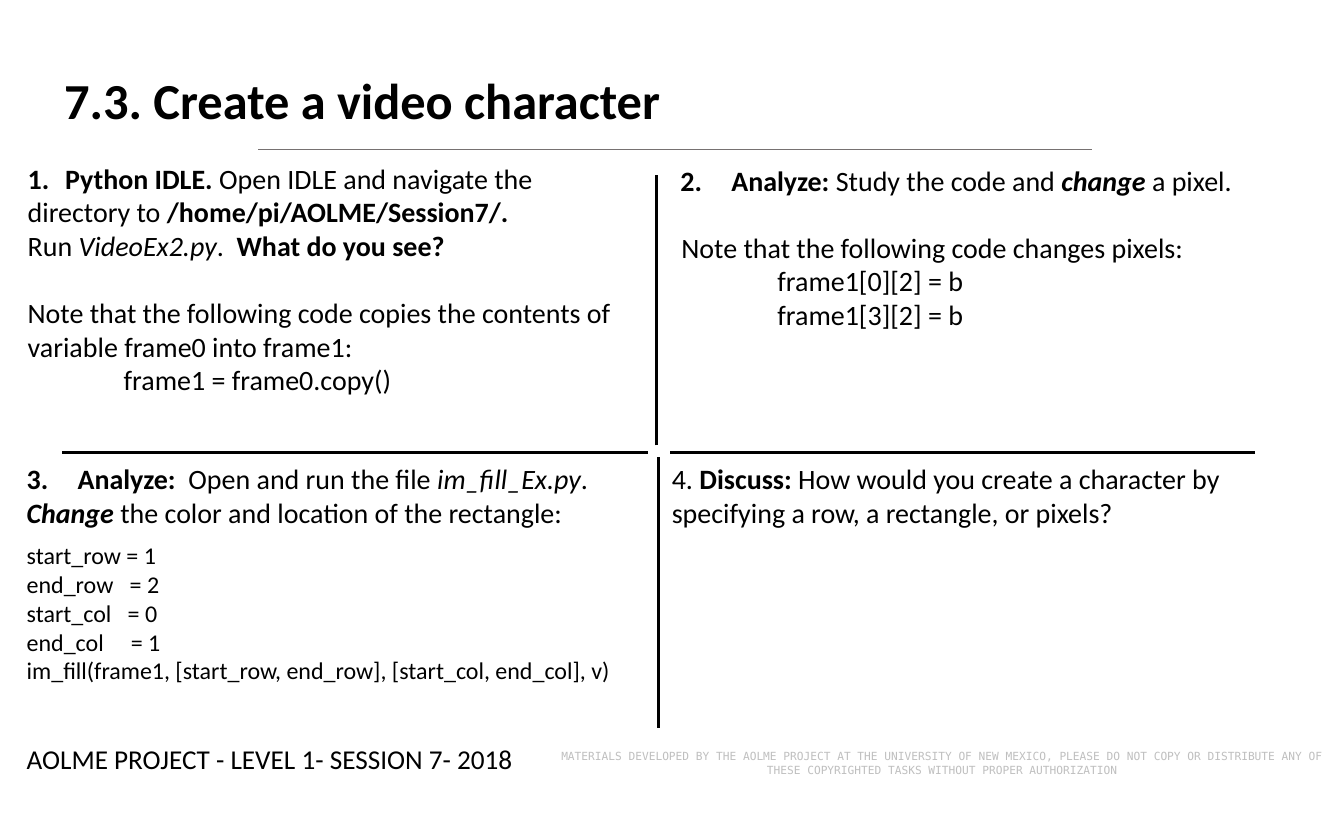
from dataclasses import dataclass

from lxml import etree
from pptx import Presentation
from pptx.dml.color import RGBColor
from pptx.enum.shapes import MSO_CONNECTOR
from pptx.enum.text import MSO_ANCHOR, MSO_AUTO_SIZE, PP_ALIGN
from pptx.oxml.ns import qn
from pptx.util import Inches, Pt

LINE = MSO_CONNECTOR.STRAIGHT
MIDDLE = MSO_ANCHOR.MIDDLE
GROW = MSO_AUTO_SIZE.SHAPE_TO_FIT_TEXT
CENTER = PP_ALIGN.CENTER


@dataclass(frozen=True)
class Theme:
    font: str = "Calibri"
    mono: str = "DejaVu Sans Mono"
    ink: str = "000000"
    rule: str = "767171"
    faint: str = "BFBFBF"
    title: float = 37.8
    body: float = 21
    label: float = 20.4
    code: float = 18
    note: float = 8.4
    gap: float = 25.2
    small_gap: float = 8.9


THEME = Theme()


def add_line(slide, start, end, color=THEME.ink, width=2.25):
    line = slide.shapes.add_connector(LINE, *map(Inches, start + end))
    line.line.color.rgb = RGBColor.from_string(color)
    line.line.width = Pt(width)
    props = line.element.find(qn("p:spPr"))
    etree.SubElement(props, qn("a:effectLst"))


def para(*runs, size=THEME.body, **form):
    """Describe a paragraph; each run is text or (text, style letters)."""
    return {"runs": runs, "size": size, **form}


def set_indent(item, left, hang, number):
    props = item._p.get_or_add_pPr()
    props.set("marL", str(Inches(left)))
    props.set("indent", str(Inches(-hang)))
    if number:
        mark = etree.SubElement(props, qn("a:buAutoNum"), type="arabicPeriod")
        mark.set("startAt", str(number))


def add_run(item, run, size, font, color):
    text, style = (run, "") if isinstance(run, str) else run
    part = item.add_run()
    part.text = text
    form = {"name": font, "size": Pt(size),
            "bold": "b" in style, "italic": "i" in style}
    for key, value in form.items():
        setattr(part.font, key, value)
    part.font.color.rgb = RGBColor.from_string(color)


def add_text(slide, place, paras, font=THEME.font, color=THEME.ink,
             align=None, **form):
    frame = slide.shapes.add_textbox(*map(Inches, place)).text_frame
    for key, value in {"word_wrap": True, "auto_size": GROW, **form}.items():
        setattr(frame, key, value)
    for index, spec in enumerate(paras):
        item = frame.add_paragraph() if index else frame.paragraphs[0]
        if "before" in spec:
            item.space_before = Pt(spec["before"])
        if "left" in spec:
            set_indent(item, spec["left"], spec.get("hang", 0),
                       spec.get("number"))
        if align is not None:
            item.alignment = align
        for run in spec["runs"]:
            add_run(item, run, spec["size"], font, color)


def add_grid(slide):
    for left, right in ((0.65, 6.75), (6.98, 13.07)):
        add_line(slide, (left, 4.71), (right, 4.71))
    for x, low, high in ((6.86, 7.58, 4.76), (6.84, 4.64, 1.82)):
        add_line(slide, (x, low), (x, high))


def add_tasks(slide):
    # Task 1: run the example
    add_text(slide, (0.19, 1.63, 7.03, 2.57), [
        para(("Python IDLE. ", "b"), "Open IDLE and navigate the",
             left=0.39, hang=0.39, number=1),
        para("directory to ", ("/home/pi/AOLME/Session7/.", "b")),
        para("Run ", ("VideoEx2.py", "i"), ". ", (" What do you see?", "b")),
        para("Note that the following code copies the contents of",
             before=THEME.gap),
        para("variable frame0 into frame1:"),
        para("frame1 = frame0.copy()", left=1),
    ])

    # Task 2: change pixels
    add_text(slide, (6.98, 1.65, 6.47, 1.87), [
        para(("Analyze: ", "b"), "Study the code and ", ("change", "bi"),
             " a pixel.", left=0.54, hang=0.53, number=2),
        para("Note that the following code changes pixels:",
             left=0.02, before=THEME.gap),
        *(para(f"frame1[{row}][2] = b", left=1.02) for row in (0, 3)),
    ])

    # Task 3: fill a rectangle
    code = ("start_row = 1", "end_row   = 2", "start_col   = 0",
            "end_col     = 1",
            "im_fill(frame1, [start_row, end_row], [start_col, end_col], v)")
    add_text(slide, (0.18, 4.76, 6.67, 2.45), [
        para(("Analyze:  ", "b"), "Open and run the file ",
             ("im_fill_Ex.py", "i"), ".", left=0.53, hang=0.53, number=3),
        para(("Change", "bi"), " the color and location of the rectangle:"),
        para(code[0], size=THEME.code, before=THEME.small_gap),
        *(para(text, size=THEME.code) for text in code[1:]),
    ])

    # Task 4: discuss
    add_text(slide, (6.9, 4.76, 6.97, 0.81), [
        para("4. ", ("Discuss: ", "b"), "How would you create a character by "
             "specifying a row, a rectangle, or pixels?"),
    ])


def add_footer(slide):
    add_text(slide, (0.18, 7.68, 5.4, 0.44), [
        para("AOLME PROJECT - LEVEL 1- SESSION 7- 2018", size=THEME.label),
    ], word_wrap=False)
    add_text(slide, (5.66, 7.75, 8.31, 0.4), [
        para("MATERIALS DEVELOPED BY THE AOLME PROJECT AT THE UNIVERSITY OF "
             "NEW MEXICO, PLEASE DO NOT COPY OR DISTRIBUTE ANY OF THESE "
             "COPYRIGHTED TASKS WITHOUT PROPER AUTHORIZATION",
             size=THEME.note),
    ], font=THEME.mono, color=THEME.faint, align=CENTER,
        vertical_anchor=MIDDLE)


def main():
    deck = Presentation()
    deck.slide_width, deck.slide_height = Inches(14), Inches(8.5)
    slide = deck.slides.add_slide(deck.slide_layouts[6])

    # Dividers between the four tasks
    add_grid(slide)

    # Title and its rule
    add_text(slide, (0.57, 0.67, 12.47, 0.74), [
        para(("7.3. Create a video character", "b"), size=THEME.title),
    ])
    add_line(slide, (2.69, 1.56), (11.38, 1.56), THEME.rule, 1)

    add_tasks(slide)
    add_footer(slide)
    deck.save("out.pptx")


if __name__ == "__main__":
    main()
